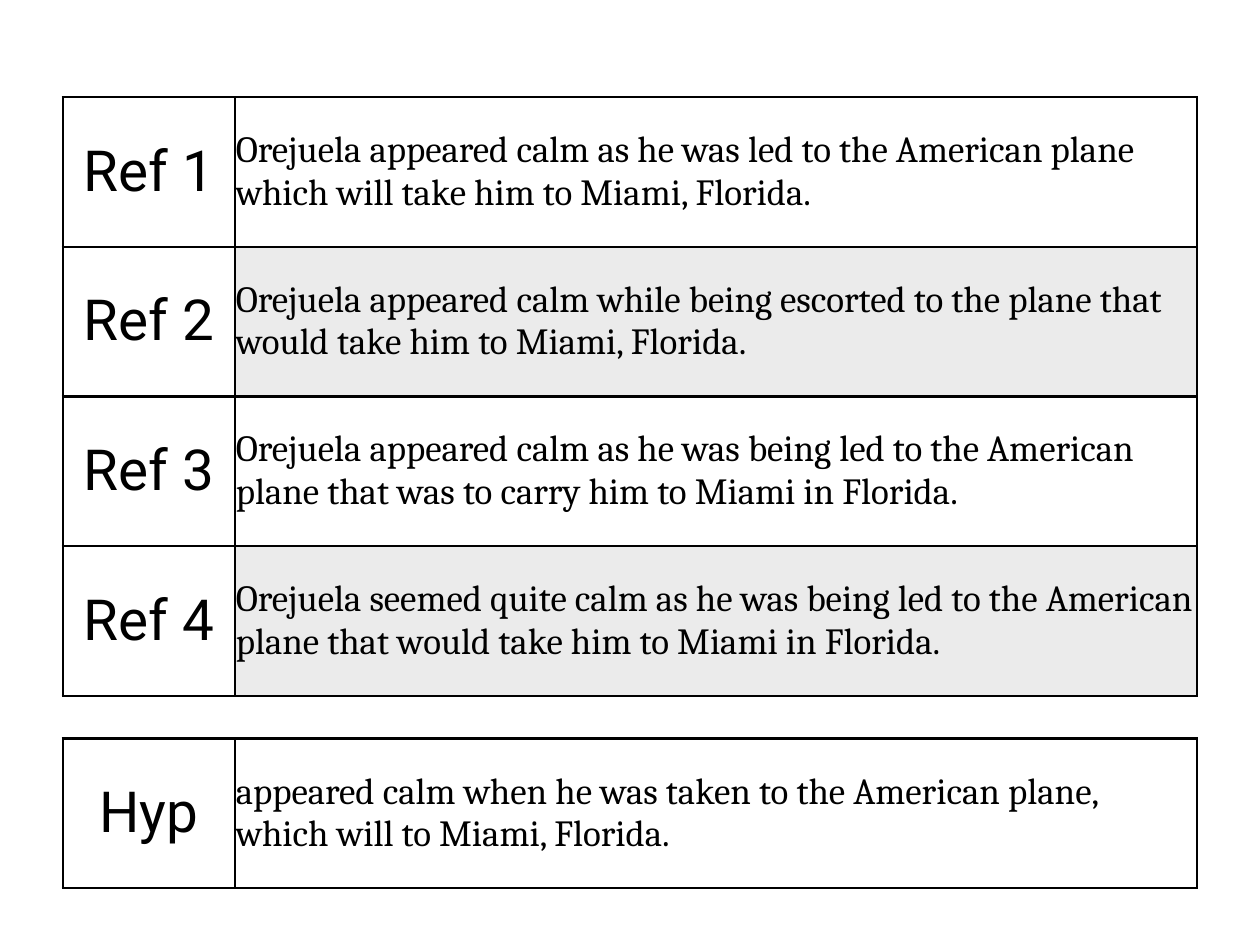
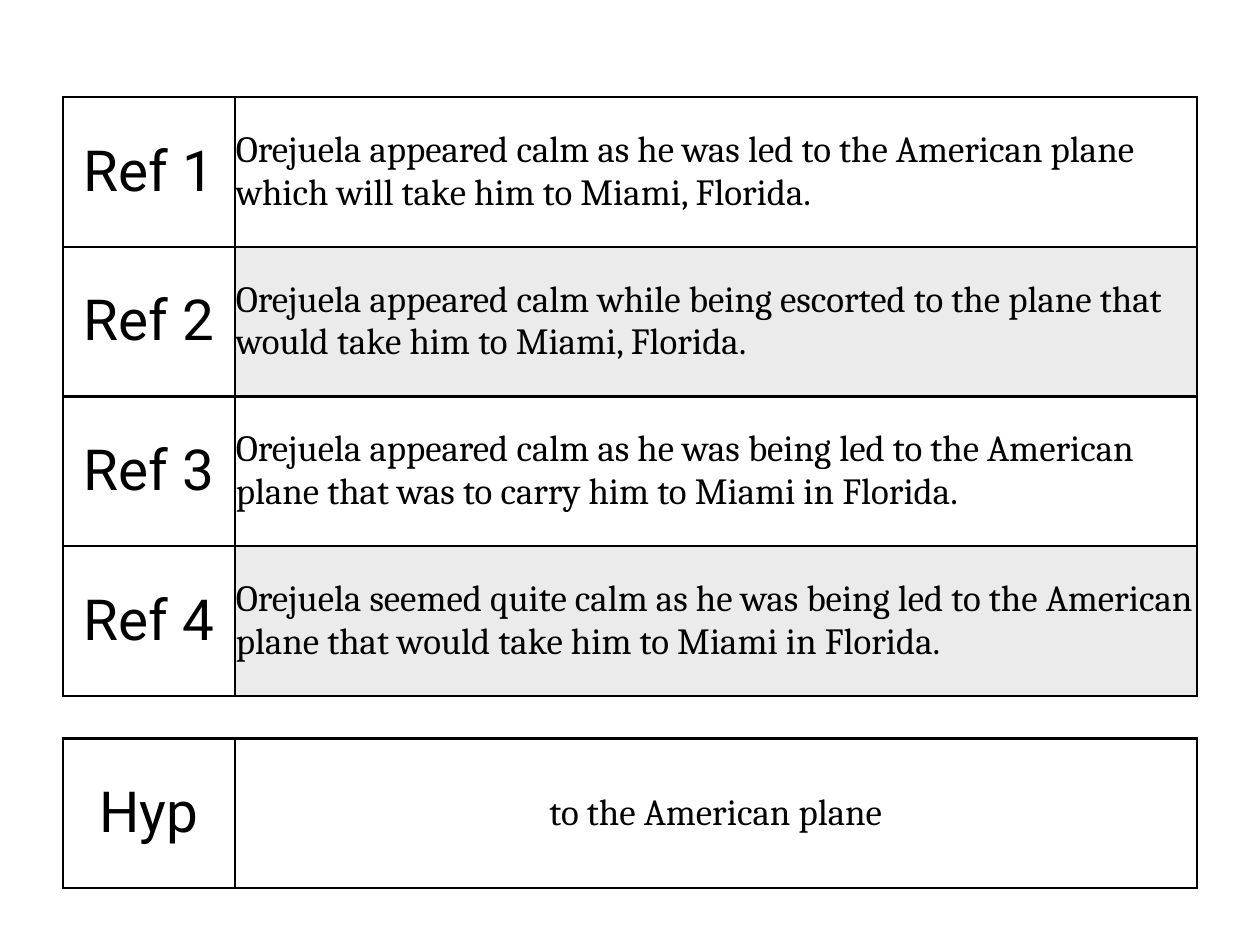
from lxml.etree import SubElement
from pptx import Presentation
from pptx.dml.color import RGBColor
from pptx.enum.text import MSO_ANCHOR, PP_ALIGN
from pptx.oxml.ns import qn
from pptx.util import Cm, Pt

BLACK = RGBColor(0x00, 0x00, 0x00)
GREY = RGBColor(0xEB, 0xEB, 0xEB)

LEFT = 1.8
REFERENCE_TOP = 2.79
HYPOTHESIS_TOP = 21.18
COLUMN_WIDTHS = (4.93, 27.58)
ROW_HEIGHT = 4.29

REFERENCES = [
    "Orejuela appeared calm as he was led to the American plane which will take him to Miami, Florida.",
    "Orejuela appeared calm while being escorted to the plane that would take him to Miami, Florida.",
    "Orejuela appeared calm as he was being led to the American plane that was to carry him to Miami in Florida.",
    "Orejuela seemed quite calm as he was being led to the American plane that would take him to Miami in Florida.",
]
HYPOTHESES = [
    ("appeared calm when he was taken to the American plane, which will to Miami, Florida.", PP_ALIGN.LEFT),
    ("to the American plane", PP_ALIGN.CENTER),
]


class SentenceDeck:
    label_font = ("Roboto", 46)
    sentence_font = ("Cambria", 30)
    border_width = Pt(2)

    def __init__(self):
        self.deck = Presentation()
        self.deck.slide_width = Cm(36.12)
        self.deck.slide_height = Cm(27.1)
        self.page = None

    def add_page(self):
        self.page = self.deck.slides.add_slide(self.deck.slide_layouts[6])

    def add_borders(self, cell):
        properties = cell._tc.get_or_add_tcPr()
        for side in ("a:lnL", "a:lnR", "a:lnT", "a:lnB"):
            line = SubElement(properties, qn(side), w=str(self.border_width))
            fill = SubElement(line, qn("a:solidFill"))
            SubElement(fill, qn("a:srgbClr"), val=str(BLACK))

    def fill_cell(self, cell, text, font, alignment, margin, space=0, shade=None):
        cell.margin_left = cell.margin_right = Cm(margin)
        cell.margin_top = cell.margin_bottom = Cm(margin)
        cell.vertical_anchor = MSO_ANCHOR.MIDDLE
        self.add_borders(cell)
        if shade is None:
            cell.fill.background()
        else:
            cell.fill.solid()
            cell.fill.fore_color.rgb = shade
        para = cell.text_frame.paragraphs[0]
        para.text = text
        para.alignment = alignment
        para.space_before = Pt(space)
        span = para.runs[0]
        span.font.name, size = font
        span.font.size = Pt(size)
        span.font.color.rgb = BLACK

    def add_sentences(self, top, rows, alignment=PP_ALIGN.LEFT):
        frame = self.page.shapes.add_table(
            len(rows), len(COLUMN_WIDTHS), Cm(LEFT), Cm(top),
            Cm(sum(COLUMN_WIDTHS)), Cm(ROW_HEIGHT * len(rows)))
        table = frame.table
        table.first_row = table.horz_banding = False
        for column, width in zip(table.columns, COLUMN_WIDTHS):
            column.width = Cm(width)
        for index, (label, sentence) in enumerate(rows):
            table.rows[index].height = Cm(ROW_HEIGHT)
            self.fill_cell(table.cell(index, 0), label, self.label_font,
                           PP_ALIGN.CENTER, margin=0.1)
            self.fill_cell(table.cell(index, 1), sentence, self.sentence_font,
                           alignment, margin=0.03, space=12,
                           shade=GREY if index % 2 else None)


def main():
    slides = SentenceDeck()
    references = [(f"Ref {number}", sentence)
                  for number, sentence in enumerate(REFERENCES, 1)]
    for hypothesis, alignment in HYPOTHESES:
        slides.add_page()
        slides.add_sentences(REFERENCE_TOP, references)
        slides.add_sentences(HYPOTHESIS_TOP, [("Hyp", hypothesis)], alignment)
    slides.deck.save("out.pptx")


if __name__ == "__main__":
    main()
